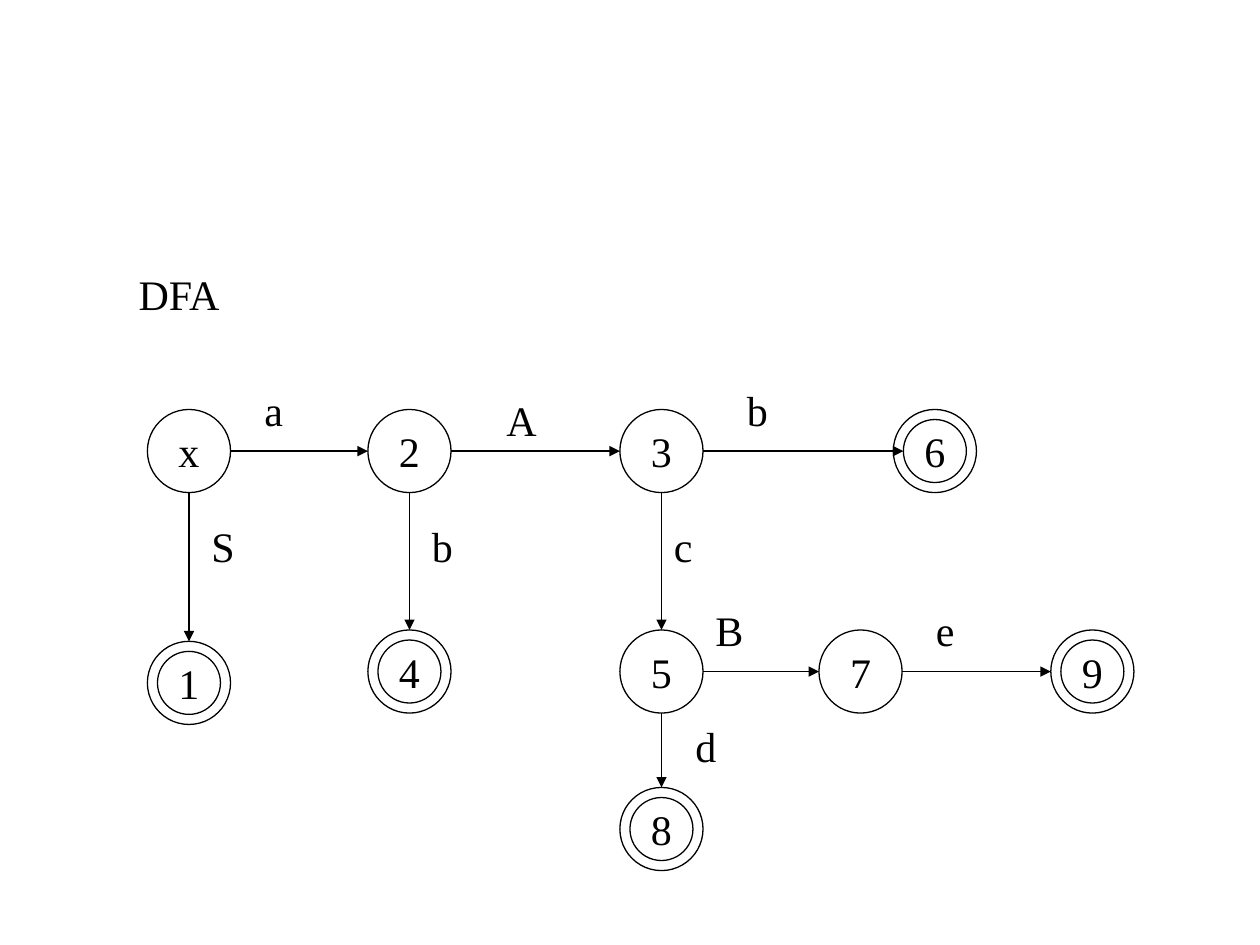
import pptx
import pptx.dml.color
import pptx.enum.shapes
import pptx.enum.text
import pptx.oxml.ns
import pptx.util
from lxml import etree
from pptx.util import Inches

BLACK, WHITE = "000000", "FFFFFF"
RADIUS, INNER_RADIUS = 0.33, 0.25

# State name: centre x, centre y, accepting
STATES = {
    "x": (1.5, 3.58, False),
    "2": (3.25, 3.58, False),
    "3": (5.25, 3.58, False),
    "5": (5.25, 5.33, False),
    "7": (6.83, 5.33, False),
    "8": (5.25, 6.58, True),
    "9": (8.67, 5.33, True),
    "6": (7.42, 3.58, True),
    "4": (3.25, 5.33, True),
    "1": (1.5, 5.42, True),
}

# From state, to state, symbol, label left, label top, radius at the arrowhead
TRANSITIONS = [
    ("x", "2", "a", 2, 3, RADIUS),
    ("2", "3", "A", 3.92, 3.08, RADIUS),
    ("3", "6", "b", 5.83, 3, INNER_RADIUS),
    ("x", "1", "S", 1.58, 4.08, RADIUS),
    ("2", "4", "b", 3.33, 4.08, RADIUS),
    ("3", "5", "c", 5.25, 4.08, RADIUS),
    ("5", "8", "d", 5.42, 5.67, RADIUS),
    ("5", "7", "B", 5.58, 4.75, RADIUS),
    ("7", "9", "e", 7.33, 4.75, RADIUS),
]


def color(hex_value):
    return pptx.dml.color.RGBColor.from_string(hex_value)


def write(frame, text, align, anchor, wrap):
    frame.word_wrap = wrap
    frame.auto_size = pptx.enum.text.MSO_AUTO_SIZE.NONE
    frame.vertical_anchor = anchor
    paragraph = frame.paragraphs[0]
    paragraph.alignment = align
    run = paragraph.add_run()
    run.text = text
    run.font.size = pptx.util.Pt(24)
    run.font.name = "Times New Roman"
    run.font.color.rgb = color(BLACK)


def write_label(frame, text):
    write(frame, text, pptx.enum.text.PP_ALIGN.LEFT,
          pptx.enum.text.MSO_ANCHOR.TOP, True)


def add_title(slide, text):
    title = slide.shapes.title
    title.left, title.top = Inches(1), Inches(2.08)
    title.width, title.height = Inches(2.17), Inches(0.5)
    write_label(title.text_frame, text)


def add_circle(shapes, x, y, radius):
    circle = shapes.add_shape(
        pptx.enum.shapes.MSO_SHAPE.OVAL, Inches(x - radius), Inches(y - radius),
        Inches(2 * radius), Inches(2 * radius))
    circle.shadow.inherit = False
    circle.fill.solid()
    circle.fill.fore_color.rgb = color(WHITE)
    circle.line.color.rgb = color(BLACK)
    circle.line.width = pptx.util.Pt(0.75)
    return circle


def add_state(slide, name, x, y, accepting):
    """Accepting states are a group of two concentric circles."""
    if accepting:
        rings = slide.shapes.add_group_shape().shapes
        add_circle(rings, x, y, RADIUS)
        circle = add_circle(rings, x, y, INNER_RADIUS)
    else:
        circle = add_circle(slide.shapes, x, y, RADIUS)
    write(circle.text_frame, name, pptx.enum.text.PP_ALIGN.CENTER,
          pptx.enum.text.MSO_ANCHOR.MIDDLE, False)


def add_arrow(slide, source, target, head_radius):
    """Run right or down, from the edge of source to head_radius from target."""
    x1, y1, _ = STATES[source]
    x2, y2, _ = STATES[target]
    if y1 == y2:
        x1, x2 = x1 + RADIUS, x2 - head_radius
    else:
        y1, y2 = y1 + RADIUS, y2 - head_radius
    arrow = slide.shapes.add_connector(
        pptx.enum.shapes.MSO_CONNECTOR.STRAIGHT,
        Inches(x1), Inches(y1), Inches(x2), Inches(y2))
    arrow.line.color.rgb = color(BLACK)
    arrow.line.width = pptx.util.Pt(0.75)
    qn = pptx.oxml.ns.qn
    etree.SubElement(arrow.line._get_or_add_ln(), qn("a:tailEnd"), type="triangle")
    etree.SubElement(arrow._element.spPr, qn("a:effectLst"))


def add_symbol(slide, symbol, left, top):
    label = slide.shapes.add_textbox(
        Inches(left), Inches(top), Inches(0.67), Inches(0.5))
    write_label(label.text_frame, symbol)


def main():
    deck = pptx.Presentation()
    deck.slide_width, deck.slide_height = Inches(10), Inches(7.5)
    slide = deck.slides.add_slide(deck.slide_layouts.get_by_name("Title Only"))
    add_title(slide, "DFA")
    for name, (x, y, accepting) in STATES.items():
        add_state(slide, name, x, y, accepting)
    for source, target, symbol, left, top, head_radius in TRANSITIONS:
        add_arrow(slide, source, target, head_radius)
        add_symbol(slide, symbol, left, top)
    deck.save("out.pptx")


if __name__ == "__main__":
    main()
